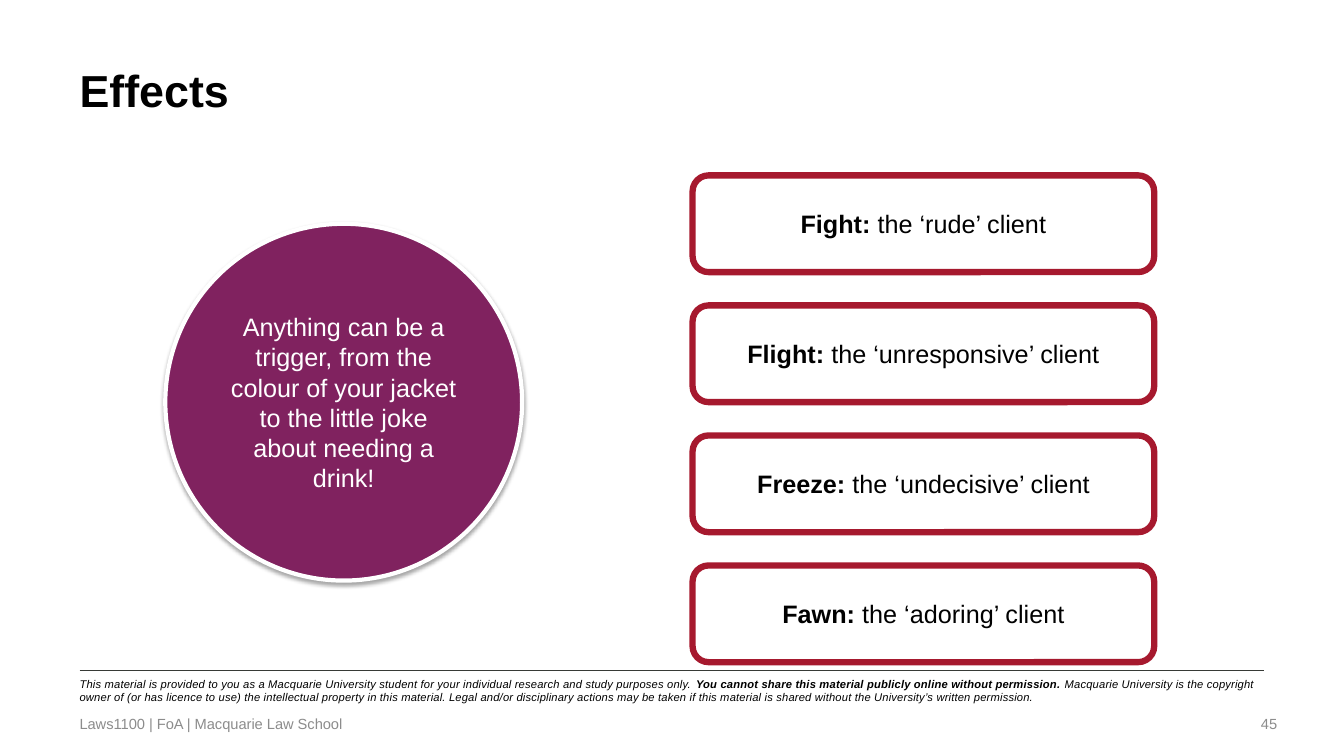
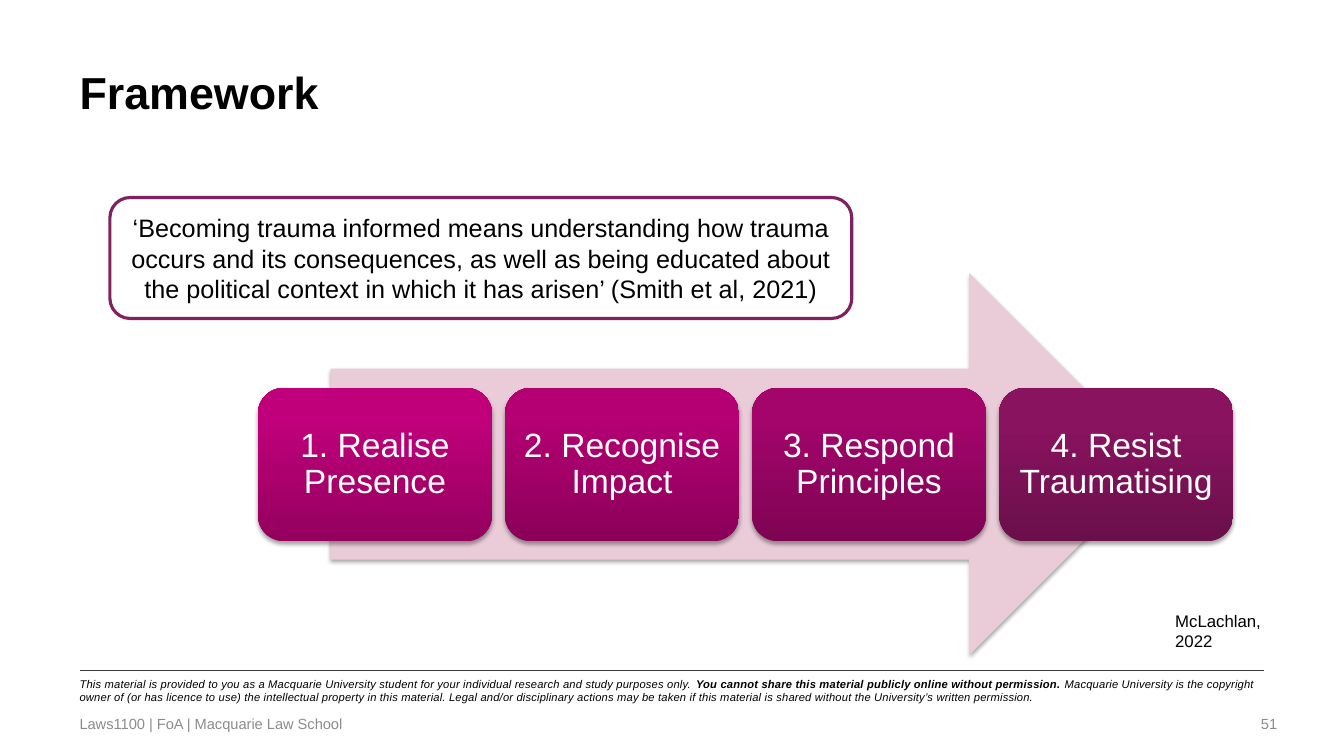
from dataclasses import dataclass

from lxml import etree
from pptx import Presentation
from pptx.dml.color import RGBColor
from pptx.enum.shapes import MSO_CONNECTOR, MSO_SHAPE
from pptx.enum.text import MSO_ANCHOR, PP_ALIGN
from pptx.oxml.ns import qn
from pptx.shapes.autoshape import Shape
from pptx.slide import Slide
from pptx.util import Emu, Inches, Pt

ARROW, CIRCLE, ROUNDED = MSO_SHAPE.RIGHT_ARROW, MSO_SHAPE.FLOWCHART_CONNECTOR, MSO_SHAPE.ROUNDED_RECTANGLE
STRAIGHT = MSO_CONNECTOR.STRAIGHT
TOP, MIDDLE = MSO_ANCHOR.TOP, MSO_ANCHOR.MIDDLE
LEFT, CENTER, RIGHT = PP_ALIGN.LEFT, PP_ALIGN.CENTER, PP_ALIGN.RIGHT
SLIDE_WIDTH, SLIDE_HEIGHT = Inches(13.333), Inches(7.5)


@dataclass(frozen=True)
class Theme:
    font: str = "Arial"
    black: str = "000000"
    white: str = "FFFFFF"
    gray: str = "8C8C8C"
    rule: str = "373A36"
    red: str = "A6192E"
    plum: str = "80225F"
    pink: str = "EACCD8"
    title_size: float = 32
    step_size: float = 24
    body_size: float = 18
    citation_size: float = 12
    footer_size: float = 10.5
    legal_size: float = 8


THEME = Theme()


@dataclass(frozen=True)
class Area:
    """A rectangle in percent of the slide's width and height."""

    left: float
    top: float
    width: float
    height: float

    def emu(self) -> tuple[Emu, Emu, Emu, Emu]:
        return (across(self.left), down(self.top), across(self.width), down(self.height))

    def moved(self, right: float = 0, below: float = 0) -> "Area":
        return Area(self.left + right, self.top + below, self.width, self.height)


@dataclass(frozen=True)
class Span:
    text: str
    bold: bool = False


@dataclass(frozen=True)
class TextStyle:
    size: float
    color: str = THEME.black
    bold: bool = False
    italic: bool = False
    align: PP_ALIGN = LEFT
    anchor: MSO_ANCHOR = TOP
    line_spacing: float = 1.0
    tracking: float = 0


@dataclass(frozen=True)
class Response:
    name: str
    client: str


@dataclass(frozen=True)
class Step:
    text: str
    dark: str
    light: str


MARGIN = 5.92
RULE_TOP, RULE_WIDTH = 88.67, 88.13
TITLE_AREA = Area(MARGIN, 8.27, 69.38, 9.47)
LEGAL_AREA = Area(MARGIN, 88.93, RULE_WIDTH, 4.93)
FOOTER_AREA = Area(MARGIN, 93.07, 43.5, 5.33)
NUMBER_AREA = Area(71.7, 93.07, 23.33, 5.33)
TRIGGER_AREA = Area(12.3, 29.6, 26.55, 47.2)
RESPONSE_AREA, RESPONSE_PITCH = Area(51.53, 23.2, 34.35, 12.8), 17.2
ARROW_AREA = Area(24.6, 36.13, 61.73, 50.53)
STEP_AREA, STEP_PITCH = Area(19.2, 51.33, 17.4, 20.27), 18.38
QUOTE_AREA = Area(8.18, 26.13, 55.2, 16)
CITATION_AREA = Area(86.7, 80.13, 8.33, 6.67)

TITLE = TextStyle(THEME.title_size, bold=True)
LEGAL = TextStyle(THEME.legal_size, italic=True, tracking=0.1)
FOOTER = TextStyle(THEME.footer_size, THEME.gray, anchor=MIDDLE)
NUMBER = TextStyle(THEME.footer_size, THEME.gray, align=RIGHT, anchor=MIDDLE)
BODY = TextStyle(THEME.body_size, align=CENTER, anchor=MIDDLE)
BODY_LIGHT = TextStyle(THEME.body_size, THEME.white, align=CENTER, anchor=MIDDLE)
STEP = TextStyle(THEME.step_size, THEME.white, align=CENTER, anchor=MIDDLE, line_spacing=0.9)
CITATION = TextStyle(THEME.citation_size)

LEGAL_SPANS = (
    Span("This material is provided to you as a Macquarie University student for your "
         "individual research and study purposes only. "),
    Span("You cannot share this material publicly online without permission. ", bold=True),
    Span("Macquarie University is the copyright owner of (or has licence to use) the intellectual "
         "property in this material. Legal and/or disciplinary actions may be taken if this "
         "material is shared without the University’s written permission."),
)
RESPONSES = (
    Response("Fight: ", "the ‘rude’ client"),
    Response("Flight: ", "the ‘unresponsive’ client"),
    Response("Freeze: ", "the ‘undecisive’ client"),
    Response("Fawn: ", "the ‘adoring’ client"),
)
STEPS = (
    Step("1. Realise Presence", "94005E", "C0007A"),
    Step("2. Recognise Impact", "8B0059", "B40073"),
    Step("3. Respond Principles", "7E0453", "A3056B"),
    Step("4. Resist Traumatising", "6A0F4A", "8A1360"),
)


def across(percent: float) -> Emu:
    return Emu(round(SLIDE_WIDTH * percent / 100))


def down(percent: float) -> Emu:
    return Emu(round(SLIDE_HEIGHT * percent / 100))


def rgb(color: str) -> RGBColor:
    return RGBColor.from_string(color)


def write(box: Shape, style: TextStyle, *spans: Span) -> None:
    frame = box.text_frame
    frame.word_wrap = True
    frame.vertical_anchor = style.anchor
    para = frame.paragraphs[0]
    para.alignment = style.align
    para.line_spacing = style.line_spacing
    for span in spans:
        run = para.add_run()
        run.text = span.text
        font = run.font
        font.name, font.size = THEME.font, Pt(style.size)
        font.bold, font.italic = style.bold or span.bold, style.italic
        font.color.rgb = rgb(style.color)
        if style.tracking:
            run._r.get_or_add_rPr().set("spc", str(round(style.tracking * 100)))


def add_text(page: Slide, area: Area, style: TextStyle, *spans: Span,
             inset_x: float = 0, inset_y: float = 0) -> None:
    box = page.shapes.add_textbox(*area.emu())
    frame = box.text_frame
    frame.margin_left = frame.margin_right = Inches(inset_x)
    frame.margin_top = frame.margin_bottom = Inches(inset_y)
    write(box, style, *spans)


def add_shape(page: Slide, kind: MSO_SHAPE, area: Area, fill: str,
              line: str = "", line_width: float = 0) -> Shape:
    shape = page.shapes.add_shape(kind, *area.emu())
    shape.shadow.inherit = False
    shape.fill.solid()
    shape.fill.fore_color.rgb = rgb(fill)
    if line:
        shape.line.color.rgb = rgb(line)
        shape.line.width = Pt(line_width)
    else:
        shape.line.fill.background()
    return shape


def cast_shadow(shape: Shape) -> None:
    """Add a soft shadow falling straight down."""
    effects = shape.element.spPr.find(qn("a:effectLst"))
    shadow = etree.SubElement(effects, qn("a:outerShdw"), blurRad=str(Pt(3.1)),
                              dist=str(Pt(1.8)), dir="5400000", rotWithShape="0")
    color = etree.SubElement(shadow, qn("a:srgbClr"), val=THEME.black)
    etree.SubElement(color, qn("a:alpha"), val="35000")


def shade_upwards(shape: Shape, dark: str, light: str) -> None:
    shape.fill.gradient()
    shape.fill.gradient_angle = 90
    for stop, color, position in zip(shape.fill.gradient_stops, (dark, light), (0, 0.8)):
        stop.color.rgb = rgb(color)
        stop.position = position


def add_page(deck: Presentation, title: str, number: int, title_drop: float = 0) -> Slide:
    """Add a page with the title, legal notice and footer."""
    page = deck.slides.add_slide(deck.slide_layouts[6])
    add_text(page, LEGAL_AREA, LEGAL, *LEGAL_SPANS, inset_y=0.05)
    rule = page.shapes.add_connector(STRAIGHT, across(MARGIN), down(RULE_TOP),
                                     across(MARGIN + RULE_WIDTH), down(RULE_TOP))
    rule.line.color.rgb = rgb(THEME.rule)
    rule.line.width = Pt(0.75)
    etree.SubElement(rule.element.spPr, qn("a:effectLst"))
    add_text(page, TITLE_AREA.moved(below=title_drop), TITLE, Span(title))
    add_text(page, FOOTER_AREA, FOOTER, Span("Laws1100 | FoA | Macquarie Law School"))
    add_text(page, NUMBER_AREA, NUMBER, Span(str(number)))
    return page


def add_effects(deck: Presentation) -> None:
    page = add_page(deck, "Effects", 45)
    trigger = add_shape(page, CIRCLE, TRIGGER_AREA, THEME.plum, THEME.white, 3)
    cast_shadow(trigger)
    write(trigger, BODY_LIGHT, Span("Anything can be a trigger, from the colour of your jacket "
                                    "to the little joke about needing a drink!"))
    for row, response in enumerate(RESPONSES):
        card = add_shape(page, ROUNDED, RESPONSE_AREA.moved(below=row * RESPONSE_PITCH),
                         THEME.white, THEME.red, 4.5)
        write(card, BODY, Span(response.name, bold=True), Span(response.client))


def add_framework(deck: Presentation) -> None:
    page = add_page(deck, "Framework", 51, title_drop=0.26)
    cast_shadow(add_shape(page, ARROW, ARROW_AREA, THEME.pink))
    for column, step in enumerate(STEPS):
        card = add_shape(page, ROUNDED, STEP_AREA.moved(right=column * STEP_PITCH), step.dark)
        shade_upwards(card, step.dark, step.light)
        cast_shadow(card)
        write(card, STEP, Span(step.text))
    quote = add_shape(page, ROUNDED, QUOTE_AREA, THEME.white, THEME.plum, 2.25)
    write(quote, BODY, Span("‘Becoming trauma informed means understanding how trauma occurs and "
                            "its consequences, as well as being educated about the political "
                            "context in which it has arisen’ (Smith et al, 2021)"))
    add_text(page, CITATION_AREA, CITATION, Span("McLachlan, 2022"), inset_x=0.1, inset_y=0.05)


def main() -> None:
    deck = Presentation()
    deck.slide_width, deck.slide_height = SLIDE_WIDTH, SLIDE_HEIGHT
    add_effects(deck)
    add_framework(deck)
    deck.save("out.pptx")


if __name__ == "__main__":
    main()
